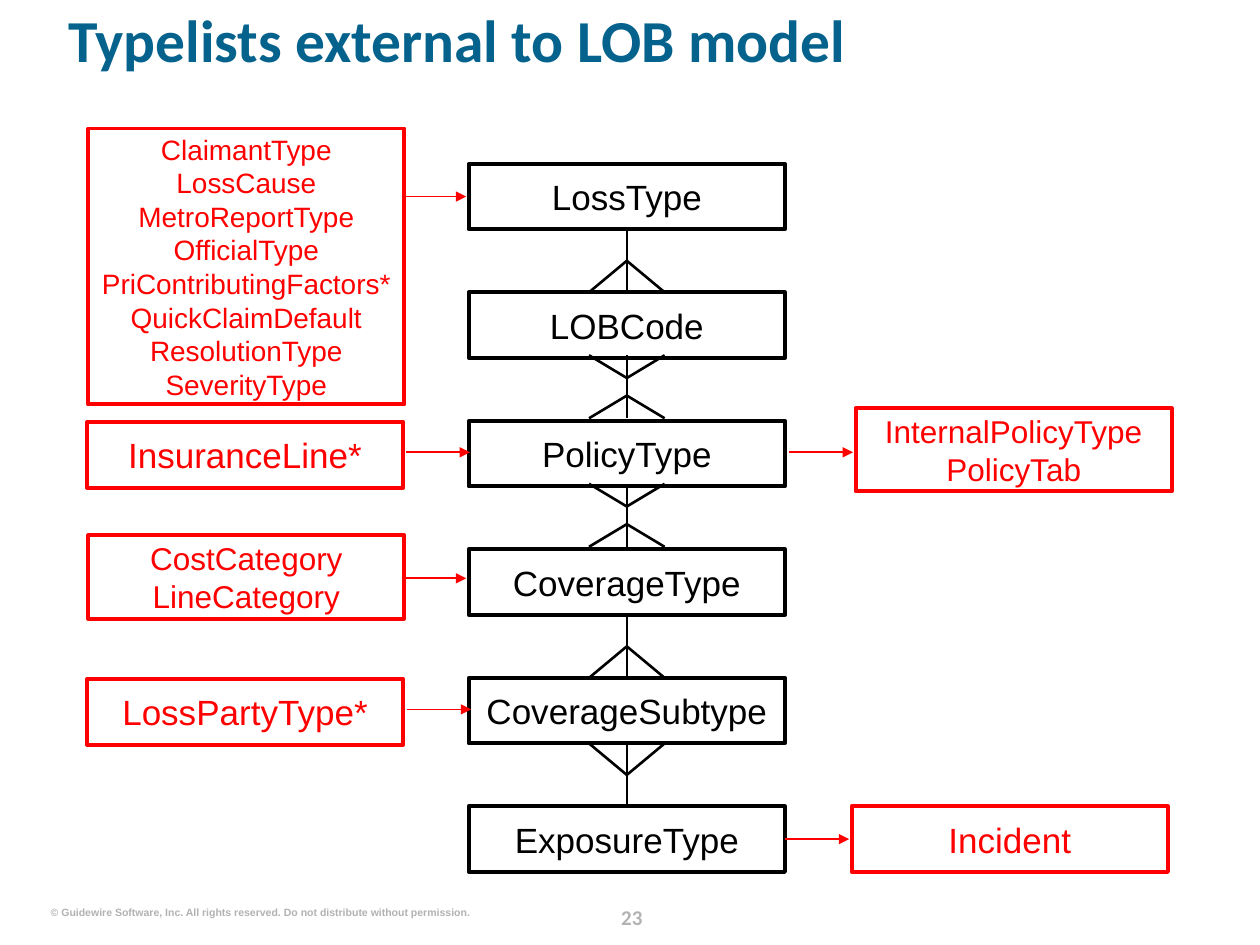
from pptx import Presentation
from pptx.dml.color import RGBColor
from pptx.enum.shapes import MSO_CONNECTOR as Conn, MSO_SHAPE as Shape
from pptx.enum.text import MSO_ANCHOR as Anchor, PP_ALIGN as Align
from pptx.oxml.ns import qn
from pptx.util import Inches, Pt
from lxml.etree import SubElement

BLACK = RGBColor(0x00, 0x00, 0x00)
WHITE = RGBColor(0xFF, 0xFF, 0xFF)
RED = RGBColor(0xFF, 0x00, 0x00)
BLUE = RGBColor(0x04, 0x62, 0x8C)
GRAY = RGBColor(0xB2, 0xB2, 0xB2)

deck = Presentation()
deck.slide_width, deck.slide_height = Inches(10), Inches(7.5)
slide = deck.slides.add_slide(deck.slide_layouts[6])
shapes = slide.shapes


def write(shape, text, size, color, name="Arial", bold=False, align=Align.CENTER):
    frame = shape.text_frame
    frame.margin_left = frame.margin_right = 0
    frame.margin_top = frame.margin_bottom = 0
    frame.word_wrap = True
    para = frame.paragraphs[0]
    para.text = text
    para.alignment = align
    font = para.font
    font.name, font.size, font.bold = name, Pt(size), bold
    font.color.rgb = color
    return frame


def draw(x1, y1, x2, y2, color=BLACK, width=1.5, arrow=False):
    line = shapes.add_connector(
        Conn.STRAIGHT, Inches(x1), Inches(y1), Inches(x2), Inches(y2))
    line.line.color.rgb = color
    line.line.width = Pt(width)
    props = line._element.spPr
    if arrow:
        SubElement(props.find(qn("a:ln")), qn("a:tailEnd"), type="triangle")
    SubElement(props, qn("a:effectLst"))


# Title and footer
title = shapes.add_textbox(Inches(0.54), Inches(0.13), Inches(9.1), Inches(0.81))
frame = write(title, "Typelists external to LOB model", 34, BLUE, "Calibri", True, Align.LEFT)
frame.paragraphs[0].line_spacing = 0.8

number = shapes.add_textbox(Inches(4.73), Inches(7.13), Inches(0.57), Inches(0.25))
frame = write(number, "23", 12, GRAY, "Calibri", True)
frame.paragraphs[0].line_spacing = Pt(18)

rights = shapes.add_textbox(Inches(0.4), Inches(7.19), Inches(3.33), Inches(0.1))
frame = write(
    rights,
    "© Guidewire Software, Inc. All rights reserved. Do not distribute without permission.",
    6, GRAY, bold=True, align=Align.RIGHT)
frame.word_wrap = False

# Boxes: the model runs down the middle, external typelists sit beside it
LEFT, TOP, WIDE, HIGH, STEP = 3.72, 1.3, 2.51, 0.52, 1.02
model = ["LossType", "LOBCode", "PolicyType", "CoverageType", "CoverageSubtype", "ExposureType"]
boxes = [(LEFT, TOP + STEP * i, HIGH, text, 20, BLACK) for i, text in enumerate(model)]
boxes += [
    (0.7, 1.02, 2.19,
     "ClaimantType\nLossCause\nMetroReportType\nOfficialType\nPriContributingFactors*\n"
     "QuickClaimDefault\nResolutionType\nSeverityType", 16, RED),
    (0.69, 3.35, HIGH, "InsuranceLine*", 20, RED),
    (0.7, 4.25, 0.66, "CostCategory\nLineCategory", 18, RED),
    (0.69, 5.39, HIGH, "LossPartyType*", 20, RED),
    (6.79, 3.24, 0.66, "InternalPolicyType\nPolicyTab", 18, RED),
    (6.76, 6.4, HIGH, "Incident", 20, RED),
]
for x, y, high, text, size, color in boxes:
    box = shapes.add_shape(Shape.RECTANGLE, Inches(x), Inches(y), Inches(WIDE), Inches(high))
    box.shadow.inherit = False
    box.fill.solid()
    box.fill.fore_color.rgb = WHITE
    box.line.color.rgb = color
    box.line.width = Pt(2.25)
    write(box, text, size, color).vertical_anchor = Anchor.MIDDLE

# Crow's feet in the gaps between model boxes
MID = LEFT + WIDE / 2
for i, ends in enumerate(["low", "both", "both", "low", "high"]):
    both = ends == "both"
    lift = 0.02 if both else 0
    depth = 0.18 if both else 0.25
    high = TOP + STEP * i + HIGH - lift
    low = TOP + STEP * (i + 1) - lift
    draw(MID, high, MID, low)
    for side in (-0.3, 0.3):
        if ends != "high":
            draw(MID, low - depth, MID + side, low)
        if ends != "low":
            draw(MID, high + depth, MID + side, high)

# Arrows between the model and external typelists
for x, y in [(3.19, 1.56), (3.22, 3.59), (6.26, 3.59), (3.19, 4.59), (3.23, 5.63), (6.23, 6.66)]:
    draw(x, y, x + 0.51, y, RED, 1, True)

deck.save("out.pptx")
